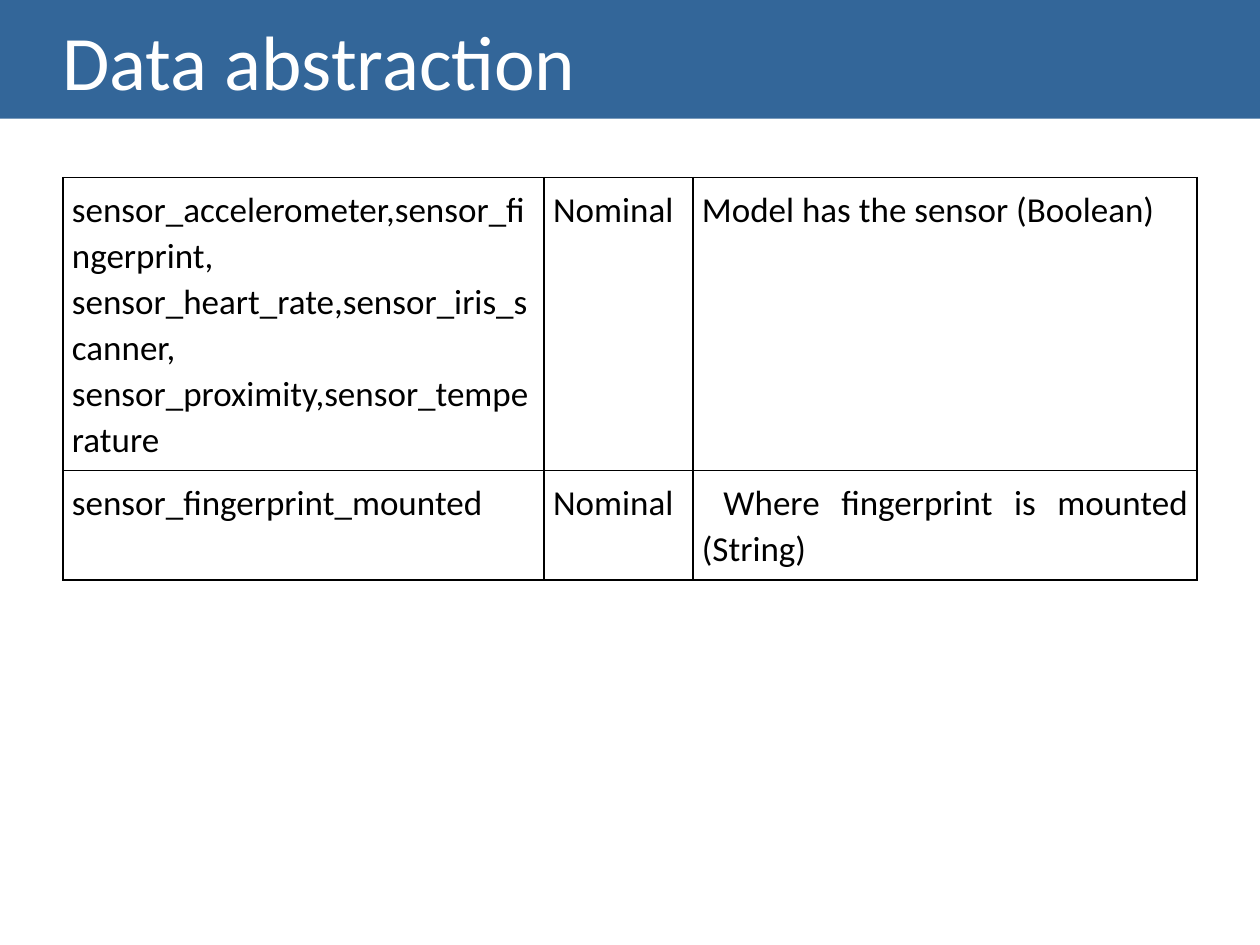
from lxml.etree import SubElement
from pptx import Presentation
from pptx.dml.color import RGBColor
from pptx.enum.text import MSO_ANCHOR, PP_ALIGN
from pptx.oxml.ns import qn
from pptx.util import Cm, Pt

TITLE = "Data abstraction"
ATTRIBUTES = [
    ("sensor_accelerometer,sensor_fingerprint, sensor_heart_rate,sensor_iris_scanner, "
     "sensor_proximity,sensor_temperature",
     "Nominal", "Model has the sensor (Boolean)"),
    ("sensor_fingerprint_mounted", "Nominal", " Where fingerprint is mounted (String)"),
]
COLUMN_WIDTHS = [9.7, 3, 10.16]
ROW_HEIGHTS = [5.89, 2.21]
CELL_MARGIN = Cm(0.18)
COLORS = {"banner": "336699", "title": "FFFFFF", "text": "000000", "border": "000000"}
FONT = "Calibri"


def add_run(paragraph, text, size, color):
    run = paragraph.add_run()
    run.text = text
    run.font.name = FONT
    run.font.size = Pt(size)
    run.font.color.rgb = RGBColor.from_string(COLORS[color])


def add_borders(cell):
    properties = cell._tc.get_or_add_tcPr()
    for side in ("a:lnL", "a:lnR", "a:lnT", "a:lnB"):
        line = SubElement(properties, qn(side), w=str(Pt(1)))
        fill = SubElement(line, qn("a:solidFill"))
        SubElement(fill, qn("a:srgbClr"), val=COLORS["border"])


def add_banner(slide):
    banner = slide.shapes.title
    banner.left, banner.top, banner.width, banner.height = Cm(0), Cm(0), Cm(25.4), Cm(2.39)
    banner.fill.solid()
    banner.fill.fore_color.rgb = RGBColor.from_string(COLORS["banner"])
    frame = banner.text_frame
    frame.vertical_anchor = MSO_ANCHOR.MIDDLE
    heading = frame.paragraphs[0]
    heading.alignment = PP_ALIGN.LEFT
    indent = heading._p.get_or_add_pPr()
    indent.set("marL", str(Cm(1)))
    indent.set("indent", "0")
    add_run(heading, TITLE, 44, "title")


def fill_cell(cell, text):
    cell.margin_left = cell.margin_right = CELL_MARGIN
    cell.margin_top = cell.margin_bottom = CELL_MARGIN
    add_borders(cell)
    cell.fill.background()
    paragraph = cell.text_frame.paragraphs[0]
    paragraph.alignment = PP_ALIGN.JUSTIFY
    paragraph.line_spacing = 1.07
    paragraph.space_after = Pt(8)
    add_run(paragraph, text, 20, "text")


def add_attribute_table(slide):
    table = slide.shapes.add_table(
        len(ATTRIBUTES), len(COLUMN_WIDTHS), Cm(1.27), Cm(3.58),
        Cm(sum(COLUMN_WIDTHS)), Cm(sum(ROW_HEIGHTS))).table
    table.first_row = table.horz_banding = False
    for column, width in zip(table.columns, COLUMN_WIDTHS):
        column.width = Cm(width)
    for row, height, texts in zip(table.rows, ROW_HEIGHTS, ATTRIBUTES):
        row.height = Cm(height)
        for cell, text in zip(row.cells, texts):
            fill_cell(cell, text)


def main():
    deck = Presentation()
    deck.slide_width, deck.slide_height = Cm(25.4), Cm(19.05)
    slide = deck.slides.add_slide(deck.slide_layouts[5])
    add_banner(slide)
    add_attribute_table(slide)
    deck.save("out.pptx")


if __name__ == "__main__":
    main()
